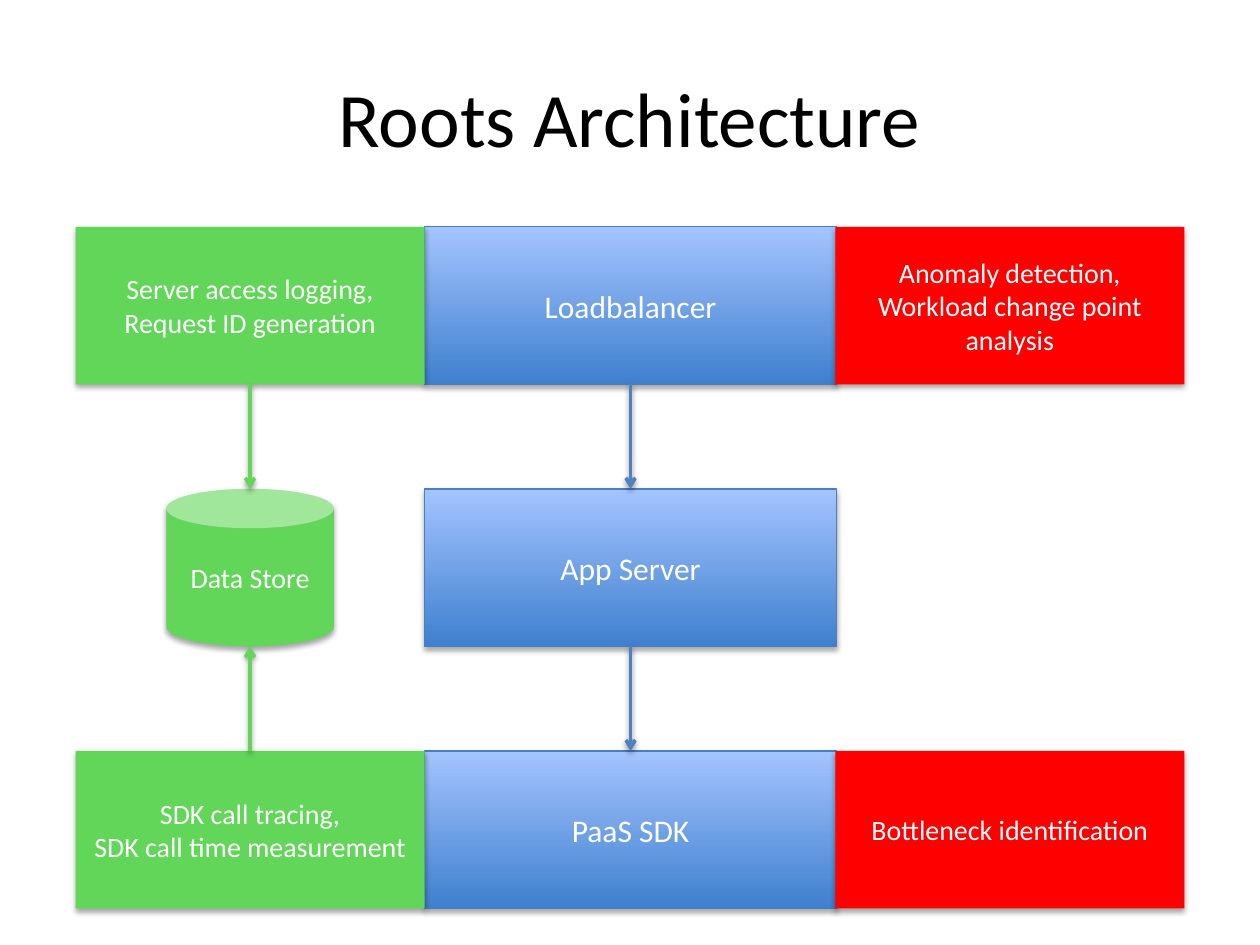
"""Build the Roots Architecture slide."""
from dataclasses import dataclass

from lxml import etree
from pptx import Presentation
from pptx import util as u
from pptx.dml.color import RGBColor
from pptx.enum import shapes, text
from pptx.oxml.ns import qn

FONT = "Calibri"
GREEN, RED, WHITE = "61D659", "FF0000", "FFFFFF"
BLUE_LOW, BLUE_HIGH, BLUE_EDGE, BLUE_ARROW = "3F80CE", "A4C4FF", "4B7EBC", "4F81BD"
COLUMNS = ((0.6, 2.77), (3.37, 3.27), (6.63, 2.77))
TOP, PITCH, HEIGHT = 1.8, 2.08, 1.25
CAN_WIDTH = 1.33


@dataclass
class Box:
    """A filled block in one cell of the grid; no fill means the blue gradient."""
    col: int
    row: int
    lines: tuple[str, ...]
    fill: str | None = None
    size: int = 16
    can: bool = False


@dataclass
class Arrow:
    """An arrow between the facing edges of two rows of a column."""
    col: int
    start: int
    end: int
    color: str


BOXES = (
    Box(1, 2, ("PaaS SDK",), size=18),
    Box(1, 1, ("App Server",), size=18),
    Box(1, 0, ("Loadbalancer",), size=18),
    Box(0, 2, ("SDK call tracing,", "SDK call time measurement"), GREEN),
    Box(0, 0, ("Server access logging,", "Request ID generation"), GREEN),
    Box(0, 1, ("Data Store",), GREEN, can=True),
    Box(2, 0, ("Anomaly detection,", "Workload change point analysis"), RED),
    Box(2, 2, ("Bottleneck identification",), RED),
)
ARROWS = (
    Arrow(1, 0, 1, BLUE_ARROW),
    Arrow(1, 1, 2, BLUE_ARROW),
    Arrow(0, 0, 1, GREEN),
    Arrow(0, 2, 1, GREEN),
)


def rgb(value: str) -> RGBColor:
    """Turn a hex string into a colour."""
    return RGBColor.from_string(value)


def row_top(row: int) -> float:
    """Give the top of a grid row."""
    return TOP + row * PITCH


def center(col: int) -> float:
    """Give the middle of a grid column."""
    left, width = COLUMNS[col]
    return left + width / 2


def add_shadow(sp, distance: float, alpha: int) -> None:
    """Give a shape or connector a soft shadow straight below it."""
    props = sp._element.spPr
    effects = props.find(qn("a:effectLst"))
    if effects is None:
        effects = etree.SubElement(props, qn("a:effectLst"))
    shadow = etree.SubElement(
        effects, qn("a:outerShdw"), blurRad=str(u.Pt(3.15)), dist=str(u.Pt(distance)),
        dir="5400000", rotWithShape="0")
    color = etree.SubElement(shadow, qn("a:srgbClr"), val="000000")
    etree.SubElement(color, qn("a:alpha"), val=str(alpha * 1000))


def write(sp, lines: tuple[str, ...], size: int, color: str) -> None:
    """Write centred paragraphs into a shape."""
    tf = sp.text_frame
    tf.word_wrap = True
    tf.vertical_anchor = text.MSO_ANCHOR.MIDDLE
    for i, line in enumerate(lines):
        p = tf.add_paragraph() if i else tf.paragraphs[0]
        p.alignment = text.PP_ALIGN.CENTER
        r = p.add_run()
        r.text = line
        r.font.name, r.font.size = FONT, u.Pt(size)
        r.font.color.rgb = rgb(color)


def draw_box(s, box: Box) -> None:
    """Draw one block with its text."""
    width = CAN_WIDTH if box.can else COLUMNS[box.col][1]
    kind = shapes.MSO_SHAPE.CAN if box.can else shapes.MSO_SHAPE.RECTANGLE
    sp = s.shapes.add_shape(
        kind, u.Inches(center(box.col) - width / 2), u.Inches(row_top(box.row)),
        u.Inches(width), u.Inches(HEIGHT))
    if box.fill:
        sp.fill.solid()
        sp.fill.fore_color.rgb = rgb(box.fill)
        sp.line.fill.background()
    else:
        sp.fill.gradient()
        sp.fill.gradient_angle = 90
        for stop, color in zip(sp.fill.gradient_stops, (BLUE_LOW, BLUE_HIGH)):
            stop.color.rgb = rgb(color)
        sp.line.color.rgb = rgb(BLUE_EDGE)
        sp.line.width = u.Pt(0.75)
    sp.shadow.inherit = False
    add_shadow(sp, 1.8, 35)
    write(sp, box.lines, box.size, WHITE)


def draw_arrow(s, arrow: Arrow) -> None:
    """Draw one arrow across the gap between two rows."""
    down = arrow.end > arrow.start
    x = u.Inches(center(arrow.col))
    y1 = u.Inches(row_top(arrow.start) + (HEIGHT if down else 0))
    y2 = u.Inches(row_top(arrow.end) + (0 if down else HEIGHT))
    line = s.shapes.add_connector(shapes.MSO_CONNECTOR.STRAIGHT, x, y1, x, y2)
    line.line.color.rgb = rgb(arrow.color)
    line.line.width = u.Pt(2)
    etree.SubElement(line.line._get_or_add_ln(), qn("a:tailEnd"), type="arrow")
    add_shadow(line, 1.6, 38)


def main() -> None:
    """Build and save the slide."""
    prs = Presentation()
    prs.slide_width, prs.slide_height = u.Inches(10), u.Inches(7.5)
    s = prs.slides.add_slide(prs.slide_layouts[6])
    title = s.shapes.add_textbox(u.Inches(0.5), u.Inches(0.3), u.Inches(9), u.Inches(1.25))
    write(title, ("Roots Architecture",), 44, "000000")
    for box in BOXES:
        draw_box(s, box)
    for arrow in ARROWS:
        draw_arrow(s, arrow)
    prs.save("out.pptx")


main()
